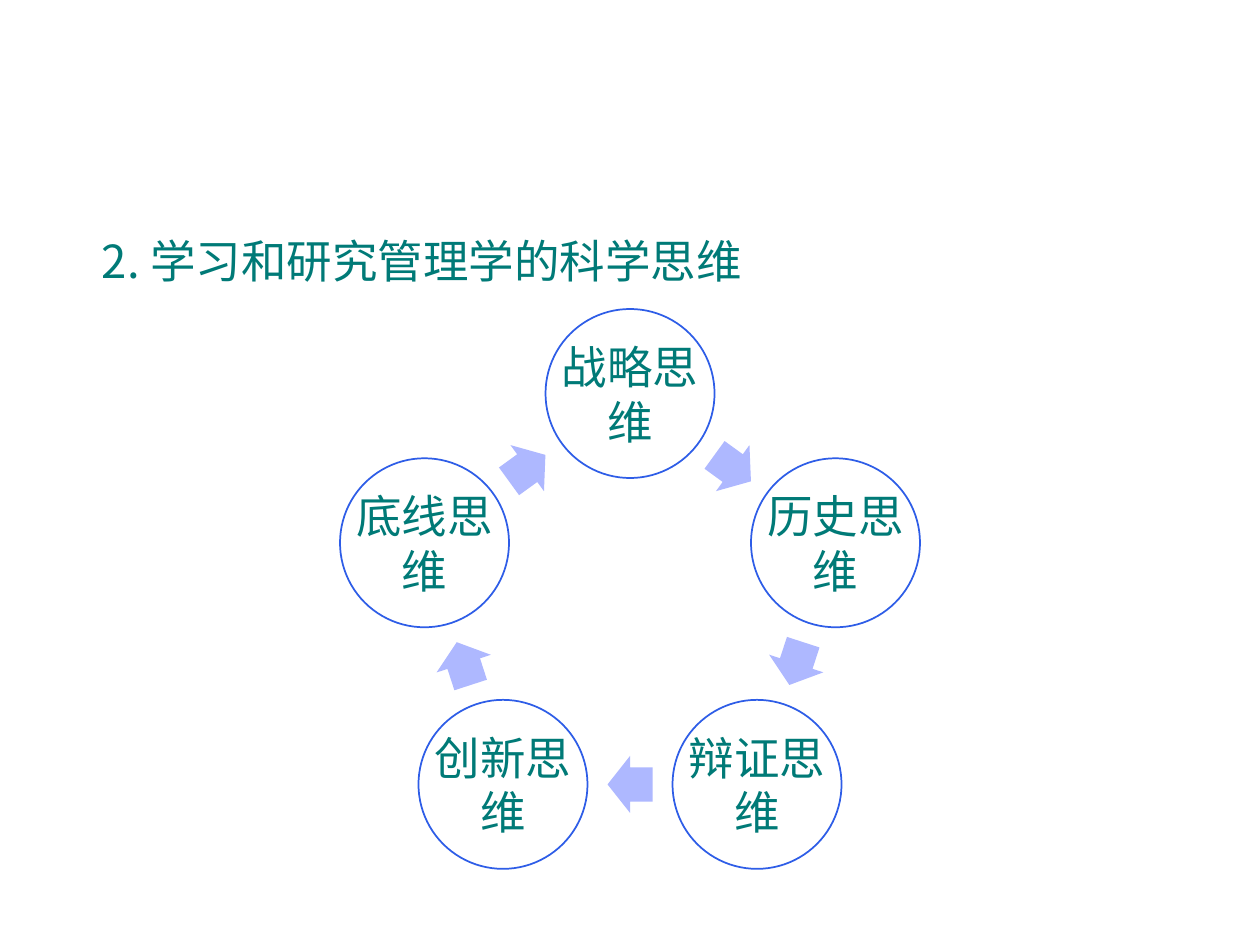
from dataclasses import dataclass
from math import cos, radians, sin

from lxml import etree
from pptx import Presentation
from pptx.dml.color import RGBColor
from pptx.enum.shapes import MSO_SHAPE
from pptx.enum.text import MSO_ANCHOR, MSO_AUTO_SIZE, PP_ALIGN
from pptx.oxml.ns import qn
from pptx.util import Pt

OVAL, ARROW = MSO_SHAPE.OVAL, MSO_SHAPE.RIGHT_ARROW
TOP, MIDDLE = MSO_ANCHOR.TOP, MSO_ANCHOR.MIDDLE
LEFT, CENTER = PP_ALIGN.LEFT, PP_ALIGN.CENTER
NO_AUTOFIT = MSO_AUTO_SIZE.NONE
EMU_PER_PX = 914400 / 126


@dataclass(frozen=True)
class Theme:
    text: RGBColor = RGBColor(0x00, 0x7A, 0x77)
    outline: RGBColor = RGBColor(0x2E, 0x5D, 0xE7)
    node: RGBColor = RGBColor(0xFF, 0xFF, 0xFF)
    arrow: RGBColor = RGBColor(0xAE, 0xB8, 0xFF)
    title_font: str = "Noto Sans CJK SC"
    label_font: str = "Arial"
    east_asian_font: str = "Noto Sans CJK SC"
    size: int = 26


THEME = Theme()


def px(length):
    return round(length * EMU_PER_PX)


def centered_box(x, y, width, height):
    return [px(v) for v in (x - width / 2, y - height / 2, width, height)]


def write_text(shape, text, *, font, align, anchor, inset_x, inset_y):
    frame = shape.text_frame
    frame.word_wrap = True
    frame.auto_size = NO_AUTOFIT
    frame.vertical_anchor = anchor
    frame.margin_left = frame.margin_right = px(inset_x)
    frame.margin_top = frame.margin_bottom = px(inset_y)
    paragraph = frame.paragraphs[0]
    paragraph.alignment = align
    paragraph.space_before = Pt(0)
    run = paragraph.add_run()
    run.text = text
    run.font.name = font
    run.font.size = Pt(THEME.size)
    run.font.color.rgb = THEME.text
    east_asian = etree.SubElement(run.font._element, qn("a:ea"))
    east_asian.set("typeface", THEME.east_asian_font)


def add_filled_shape(slide, kind, box, fill):
    shape = slide.shapes.add_shape(kind, *box)
    shape.shadow.inherit = False
    shape.fill.solid()
    shape.fill.fore_color.rgb = fill
    shape.line.fill.background()
    return shape


def place_title(slide, text, left, top, width, height):
    title = slide.shapes.title
    title.left, title.top, title.width, title.height = map(px, (left, top, width, height))
    write_text(title, text, font=THEME.title_font, align=LEFT, anchor=TOP,
               inset_x=13, inset_y=6)


def add_node(slide, label, x, y, diameter):
    box = centered_box(x, y, diameter, diameter)
    circle = add_filled_shape(slide, OVAL, box, THEME.node)
    circle.line.color.rgb = THEME.outline
    circle.line.width = Pt(1)
    # The label box spans the full circle, so three characters fit on a line
    write_text(slide.shapes.add_textbox(*box), label, font=THEME.label_font,
               align=CENTER, anchor=MIDDLE, inset_x=5, inset_y=5)


def add_cycle(slide, labels, left, top, width, diameter):
    """Nodes clockwise on a ring from the top, with an arrow between neighbours."""
    step = 360 / len(labels)
    radius = (width - diameter) / 2 / sin(radians(step))
    center_x, center_y = left + width / 2, top + diameter / 2 + radius
    arrow_distance = radius * cos(radians(step / 2))

    def on_ring(angle, distance):
        return (center_x + distance * sin(radians(angle)),
                center_y - distance * cos(radians(angle)))

    for index, label in enumerate(labels):
        angle = index * step
        add_node(slide, label, *on_ring(angle, radius), diameter)
        middle = angle + step / 2
        box = centered_box(*on_ring(middle, arrow_distance), 45, 57)
        arrow = add_filled_shape(slide, ARROW, box, THEME.arrow)
        arrow.adjustments[0], arrow.adjustments[1] = 0.6, 0.5
        arrow.rotation = middle


def main():
    presentation = Presentation()
    presentation.slide_width, presentation.slide_height = px(1260), px(945)
    slide = presentation.slides.add_slide(presentation.slide_layouts[5])
    place_title(slide, "2. 学习和研究管理学的科学思维", 89, 227, 674, 68)
    add_cycle(slide, ["战略思维", "历史思维", "辩证思维", "创新思维", "底线思维"],
              left=340, top=309, width=580, diameter=169)
    presentation.save("out.pptx")


if __name__ == "__main__":
    main()
